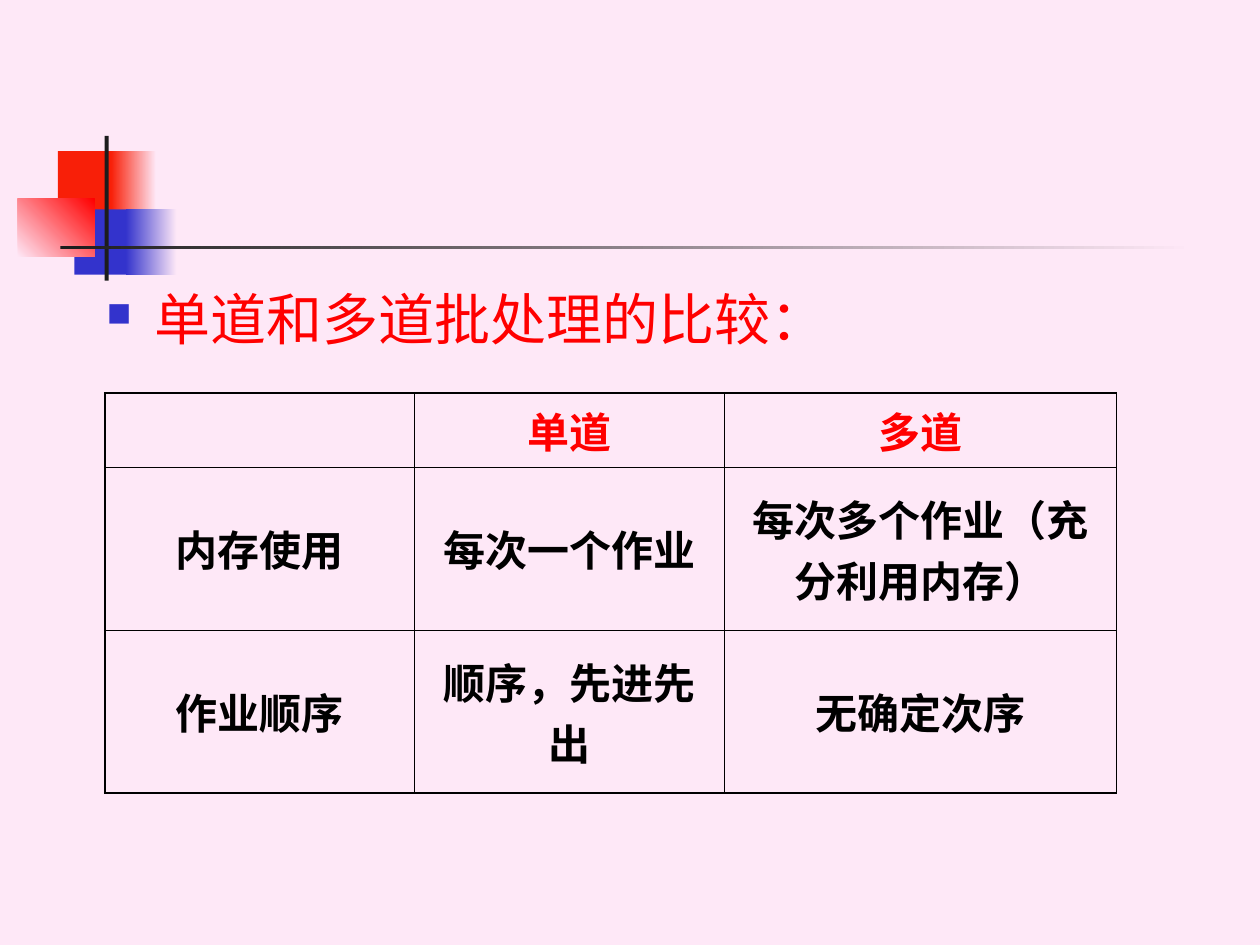
from dataclasses import dataclass
from typing import Optional

from lxml.etree import SubElement
from pptx import Presentation
from pptx.dml.color import RGBColor
from pptx.enum.shapes import MSO_SHAPE as Shape
from pptx.enum.text import MSO_ANCHOR as Anchor, PP_ALIGN as Align
from pptx.oxml.ns import qn
from pptx.util import Cm, Pt

PINK = RGBColor(0xFE, 0xE8, 0xF7)
SCARLET = RGBColor(0xF8, 0x1F, 0x08)
RED = RGBColor(0xFF, 0x00, 0x00)
BLUE = RGBColor(0x33, 0x33, 0xCC)
CHARCOAL = RGBColor(0x1C, 0x1C, 0x1C)
BLACK = RGBColor(0x00, 0x00, 0x00)

OUTER, INNER = Pt(1.08), Pt(0.45)
COLUMN_WIDTHS = (6.25, 6.25, 7.9)
ROW_HEIGHTS = (1.5, 3.28, 3.28)
COMPARISON = (
    ("", "单道", "多道"),
    ("内存使用", "每次一个作业", "每次多个作业（充分利用内存）"),
    ("作业顺序", "顺序，先进先出", "无确定次序"),
)


@dataclass(frozen=True)
class Block:
    """A decorative rectangle in centimetres; with an end colour it fades."""
    left: float
    top: float
    width: float
    height: float
    color: RGBColor
    end: Optional[RGBColor] = None
    angle: int = 0


ORNAMENT = (
    Block(1.17, 3.05, 1.22, 1.32, SCARLET),
    Block(2.24, 3.05, 0.91, 1.32, SCARLET, PINK),
    Block(1.5, 4.22, 1.17, 1.32, BLUE),
    Block(2.54, 4.22, 1.02, 1.32, BLUE, PINK),
    Block(0.36, 4.01, 1.55, 1.17, PINK, RED, 45),
    Block(2.11, 2.74, 0.08, 2.92, CHARCOAL),
    Block(1.22, 4.95, 22.86, 0.08, CHARCOAL, PINK),
)


def draw_block(page, block: Block) -> None:
    shape = page.shapes.add_shape(Shape.RECTANGLE, Cm(block.left), Cm(block.top),
                                  Cm(block.width), Cm(block.height))
    shape.shadow.inherit = False
    shape.line.fill.background()
    if block.end is None:
        shape.fill.solid()
        shape.fill.fore_color.rgb = block.color
        return
    shape.fill.gradient()
    shape.fill.gradient_angle = block.angle
    for stop, color, position in zip(shape.fill.gradient_stops,
                                     (block.color, block.end), (0, 1)):
        stop.color.rgb = color
        stop.position = position


def add_square_bullet(para, color: RGBColor, percent: int, indent: int) -> None:
    properties = para._p.get_or_add_pPr()
    properties.set("marL", str(indent))
    properties.set("indent", str(-indent))
    bullet_color = SubElement(properties, qn("a:buClr"))
    SubElement(bullet_color, qn("a:srgbClr"), val=str(color))
    SubElement(properties, qn("a:buSzPct"), val=str(percent * 1000))
    SubElement(properties, qn("a:buChar"), char="■")


def draw_heading(page, text: str) -> None:
    box = page.shapes.add_textbox(Cm(1.9), Cm(5.61), Cm(22.96), Cm(11.43))
    box.text_frame.word_wrap = True
    para = box.text_frame.paragraphs[0]
    para.text = text
    add_square_bullet(para, BLUE, 60, Cm(0.97))
    para.font.size = Pt(32)
    para.font.name = "Roboto"
    para.font.color.rgb = RED


def set_borders(cell, left: int, right: int, top: int, bottom: int) -> None:
    properties = cell._tc.get_or_add_tcPr()
    for side, width in zip("LRTB", (left, right, top, bottom)):
        line = SubElement(properties, qn(f"a:ln{side}"), w=str(width))
        fill = SubElement(line, qn("a:solidFill"))
        SubElement(fill, qn("a:srgbClr"), val=str(BLACK))


def draw_table(page) -> None:
    frame = page.shapes.add_table(len(ROW_HEIGHTS), len(COLUMN_WIDTHS), Cm(2.11), Cm(7.92),
                                  Cm(sum(COLUMN_WIDTHS)), Cm(sum(ROW_HEIGHTS)))
    table = frame.table
    table.first_row = table.horz_banding = False
    for column, width in zip(table.columns, COLUMN_WIDTHS):
        column.width = Cm(width)
    for row, height in zip(table.rows, ROW_HEIGHTS):
        row.height = Cm(height)

    last_row, last_column = len(ROW_HEIGHTS) - 1, len(COLUMN_WIDTHS) - 1
    for i, texts in enumerate(COMPARISON):
        for j, text in enumerate(texts):
            cell = table.cell(i, j)
            set_borders(cell,
                        left=OUTER if j == 0 else INNER,
                        right=OUTER if j == last_column else INNER,
                        top=OUTER if i == 0 else INNER,
                        bottom=OUTER if i == last_row else INNER)
            cell.fill.background()
            cell.vertical_anchor = Anchor.MIDDLE
            para = cell.text_frame.paragraphs[0]
            para.text = text
            para.alignment = Align.CENTER
            para.font.size = Pt(24)
            para.font.name = "Times New Roman"
            para.font.bold = True
            para.font.color.rgb = RED if i == 0 else BLACK


def main() -> None:
    deck = Presentation()
    deck.slide_width, deck.slide_height = Cm(25.4), Cm(19.05)
    page = deck.slides.add_slide(deck.slide_layouts.get_by_name("Blank"))
    page.background.fill.solid()
    page.background.fill.fore_color.rgb = PINK
    for block in ORNAMENT:
        draw_block(page, block)
    draw_heading(page, "单道和多道批处理的比较：")
    draw_table(page)
    deck.save("out.pptx")


if __name__ == "__main__":
    main()
